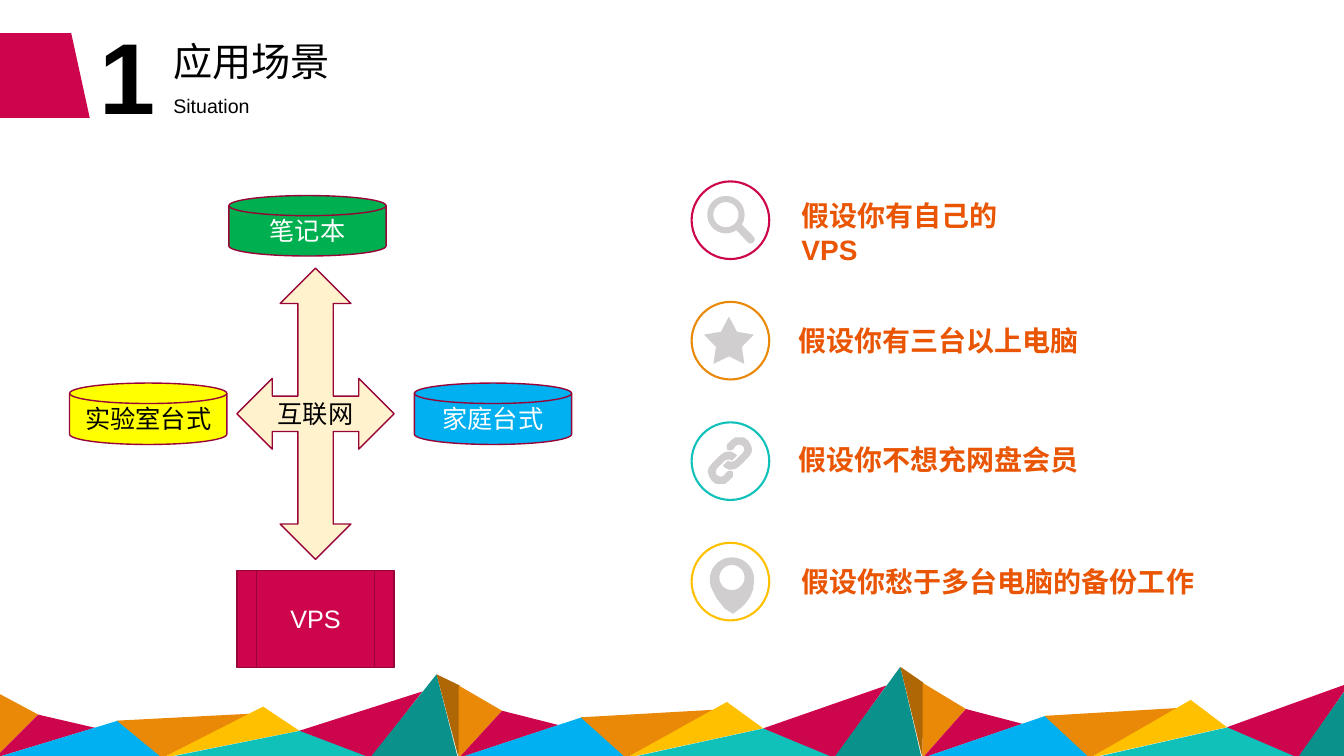
from dataclasses import dataclass
from math import cos, radians, sin
from typing import Any

from pptx import Presentation
from pptx.dml.color import RGBColor
from pptx.enum.shapes import MSO_SHAPE as Preset
from pptx.enum.text import MSO_ANCHOR as Anchor, MSO_AUTO_SIZE as AutoSize, PP_ALIGN as Align
from pptx.util import Inches, Pt

CRIMSON = RGBColor(0xCD, 0x05, 0x4C)
WINE = RGBColor(0x98, 0x04, 0x38)
AMBER = RGBColor(0xEA, 0x89, 0x08)
BROWN = RGBColor(0xAF, 0x67, 0x06)
GOLD = RGBColor(0xFF, 0xC0, 0x00)
TURQUOISE = RGBColor(0x0F, 0xC1, 0xB9)
TEAL = RGBColor(0x0B, 0x91, 0x8B)
SKY = RGBColor(0x00, 0xB0, 0xF0)
GREEN = RGBColor(0x00, 0xB0, 0x50)
YELLOW = RGBColor(0xFF, 0xFF, 0x00)
CREAM = RGBColor(0xFF, 0xF2, 0xCC)
ORANGE = RGBColor(0xEA, 0x55, 0x03)
GREY = RGBColor(0xD0, 0xCE, 0xCE)
BLACK = RGBColor(0x00, 0x00, 0x00)
WHITE = RGBColor(0xFF, 0xFF, 0xFF)

Point = tuple[float, float]
Box = tuple[float, float, float, float]


@dataclass
class Facet:
    color: RGBColor
    corners: list[Point]


@dataclass
class Label:
    text: str
    box: Box
    size: int
    color: RGBColor = BLACK
    bold: bool = False


@dataclass
class Node:
    text: str
    preset: Preset
    box: Box
    fill: RGBColor
    color: RGBColor = WHITE


@dataclass
class Assumption:
    ring: RGBColor
    icon: list[list[Point]]
    label: Label


def arc(cx: float, cy: float, radius: float, start: int, end: int, step: int = 10) -> list[Point]:
    return [(cx + radius * cos(radians(a)), cy + radius * sin(radians(a)))
            for a in range(start, end + 1, step)]


RIDGE_BASE = 7.52
RIDGE_PERIOD = 4.6
RIDGE_SCALES = [1, 1.09, 1.13]
FACETS = [
    Facet(AMBER, [(0, 0), (0, .66), (.43, .43)]),
    Facet(CRIMSON, [(0, 0), (.43, .43), (.99, .3)]),
    Facet(SKY, [(0, 0), (1.22, .37), (1.68, 0)]),
    Facet(AMBER, [(1.21, .37), (2.55, .44), (1.66, 0)]),
    Facet(GOLD, [(3.02, .27), (1.66, 0), (2.66, .51)]),
    Facet(TURQUOISE, [(3.75, 0), (1.68, 0), (3.03, .27)]),
    Facet(CRIMSON, [(3.73, 0), (3.02, .27), (4.24, .66)]),
    Facet(TEAL, [(4.59, 0), (3.72, 0), (4.38, .83)]),
]

MAGNIFIER = [
    arc(7.2, 2.13, .125, 0, 350),
    arc(7.2, 2.13, .185, 56, 392, 8) + arc(7.445, 2.375, .04, -45, 135, 15),
]
STAR = [[(7.23 + r * sin(radians(36 * i)), 3.4 - r * cos(radians(36 * i)))
         for i, r in enumerate([.26, .135] * 5)]]
CHAIN_LINK = [
    (7.22, 4.48), (7.25, 4.48), (7.29, 4.5), (7.31, 4.52), (7.26, 4.57), (7.24, 4.56),
    (7.21, 4.56), (7.19, 4.57), (7.11, 4.65), (7.1, 4.67), (7.1, 4.7), (7.12, 4.72),
    (7.15, 4.73), (7.18, 4.72), (7.21, 4.68), (7.24, 4.67), (7.27, 4.68), (7.27, 4.73),
    (7.23, 4.77), (7.19, 4.8), (7.15, 4.8), (7.1, 4.8), (7.06, 4.77), (7.03, 4.72),
    (7.02, 4.68), (7.03, 4.64), (7.06, 4.6), (7.14, 4.52), (7.18, 4.49),
]
CHAIN = [CHAIN_LINK, [(2 * 7.24 - x, 2 * 4.57 - y) for x, y in CHAIN_LINK]]
PIN = [
    arc(7.26, 5.73, .125, 0, 350),
    arc(7.26, 5.75, .22, 170, 370) + [
        (7.47, 5.85), (7.44, 5.92), (7.4, 5.98), (7.35, 6.03), (7.27, 6.09),
        (7.19, 6.04), (7.11, 5.94), (7.08, 5.88), (7.05, 5.82)],
]

HEADINGS = [
    Label("1", (.89, .09, 1.46, 1.31), 72, bold=True),
    Label("应用场景", (1.62, .32, 1.79, .57), 28),
    Label("Situation", (1.62, .88, 1.79, .34), 14),
]
ASSUMPTIONS = [
    Assumption(CRIMSON, MAGNIFIER,
               Label("假设你有自己的VPS", (7.85, 1.92, 2.7, .44), 20, ORANGE, True)),
    Assumption(AMBER, STAR,
               Label("假设你有三台以上电脑", (7.82, 3.16, 3.01, .44), 20, ORANGE, True)),
    Assumption(TURQUOISE, CHAIN,
               Label("假设你不想充网盘会员", (7.82, 4.34, 3.01, .44), 20, ORANGE, True)),
    Assumption(GOLD, PIN,
               Label("假设你愁于多台电脑的备份工作", (7.85, 5.55, 4.13, .44), 20, ORANGE, True)),
]
DISK = Preset.FLOWCHART_MAGNETIC_DISK
NODES = [
    Node("笔记本", DISK, (2.27, 1.94, 1.56, .6), GREEN),
    Node("实验室台式", DISK, (.69, 3.8, 1.56, .61), YELLOW, BLACK),
    Node("家庭台式", DISK, (4.11, 3.8, 1.56, .61), SKY),
    Node("互联网", Preset.QUAD_ARROW, (2.35, 2.66, 1.56, 2.89), CREAM, BLACK),
    Node("VPS", Preset.FLOWCHART_PREDEFINED_PROCESS, (2.35, 5.66, 1.56, .96), CRIMSON),
]


def apply_format(target: Any, values: dict[str, Any]) -> None:
    for name, value in values.items():
        setattr(target, name, value)


def paint(shape: Any, fill: RGBColor | None, line: RGBColor | None = None, width: float = 1) -> None:
    shape.shadow.inherit = False
    if fill is None:
        shape.fill.background()
    else:
        shape.fill.solid()
        shape.fill.fore_color.rgb = fill
    if line is None:
        shape.line.fill.background()
    else:
        shape.line.color.rgb = line
        shape.line.width = Pt(width)


def write(frame: Any, text: str, size: int, color: RGBColor, bold: bool = False) -> None:
    run = frame.paragraphs[0].add_run()
    run.text = text
    apply_format(run.font, {"name": "Arial", "size": Pt(size), "bold": bold})
    run.font.color.rgb = color


def draw_outline(shapes: Any, contours: list[list[Point]], fill: RGBColor) -> None:
    scaled = [[(Inches(x), Inches(y)) for x, y in contour] for contour in contours]
    builder = shapes.build_freeform(*scaled[0][0])
    for index, contour in enumerate(scaled):
        if index:
            builder.move_to(*contour[0])
        builder.add_line_segments(contour[1:], close=True)
    paint(builder.convert_to_shape(), fill)


def draw_ridge(shapes: Any) -> None:
    for index, scale in enumerate(RIDGE_SCALES):
        left = -.05 + RIDGE_PERIOD * index
        if index:
            peak = .83 * RIDGE_SCALES[index - 1]
            shade = [(left - .22, RIDGE_BASE - peak), (left + .01, RIDGE_BASE - .66 * scale),
                     (left, RIDGE_BASE)]
            draw_outline(shapes, [shade], BROWN)
        for facet in FACETS:
            corners = [(left + x, RIDGE_BASE - height * scale) for x, height in facet.corners]
            draw_outline(shapes, [corners], facet.color)


def draw_label(shapes: Any, label: Label) -> None:
    frame = shapes.add_textbox(*map(Inches, label.box)).text_frame
    apply_format(frame, {"word_wrap": True, "auto_size": AutoSize.SHAPE_TO_FIT_TEXT})
    write(frame, label.text, label.size, label.color, label.bold)


def draw_node(shapes: Any, node: Node) -> None:
    shape = shapes.add_shape(node.preset, *map(Inches, node.box))
    paint(shape, node.fill, WINE)
    apply_format(shape.text_frame, {"word_wrap": True, "vertical_anchor": Anchor.MIDDLE})
    shape.text_frame.paragraphs[0].alignment = Align.CENTER
    write(shape.text_frame, node.text, 18, node.color)


def main() -> None:
    deck = Presentation()
    apply_format(deck, {"slide_width": Inches(13.33), "slide_height": Inches(7.5)})
    shapes = deck.slides.add_slide(deck.slide_layouts[6]).shapes
    draw_ridge(shapes)
    banner = shapes.add_shape(Preset.FLOWCHART_MANUAL_INPUT, *map(Inches, (.01, .29, .84, .92)))
    banner.rotation = 90
    paint(banner, CRIMSON)
    for heading in HEADINGS:
        draw_label(shapes, heading)
    for index, assumption in enumerate(ASSUMPTIONS):
        ring = shapes.add_shape(Preset.OVAL, *map(Inches, (6.86, 1.8 + 1.195 * index, .77, .77)))
        paint(ring, None, assumption.ring, 1.5)
        draw_outline(shapes, assumption.icon, GREY)
        draw_label(shapes, assumption.label)
    for node in NODES:
        draw_node(shapes, node)
    deck.save("out.pptx")


if __name__ == "__main__":
    main()
